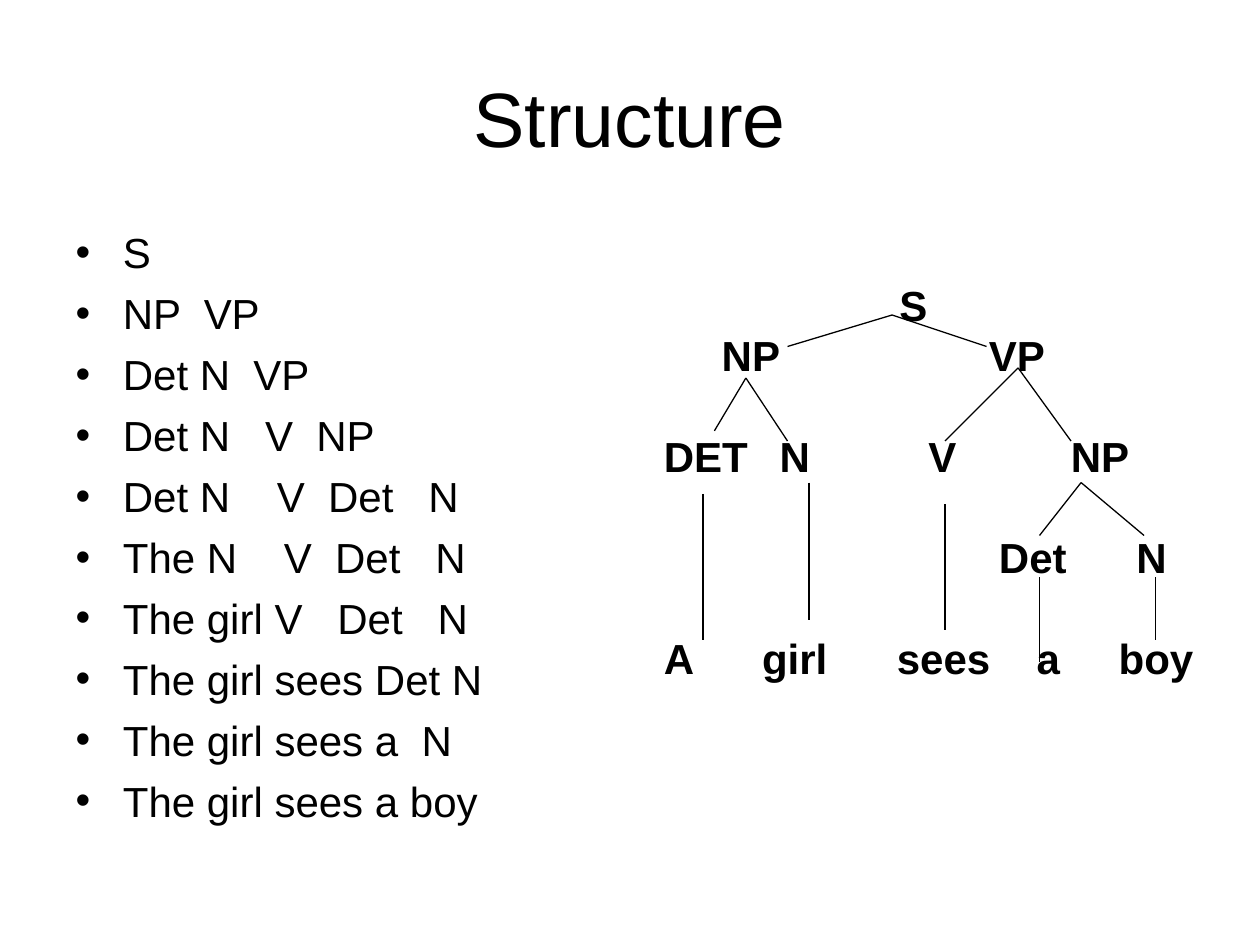
from dataclasses import dataclass

from lxml.etree import SubElement
from pptx import Presentation
from pptx.dml.color import RGBColor
from pptx.enum.shapes import MSO_CONNECTOR
from pptx.enum.text import MSO_ANCHOR, MSO_AUTO_SIZE, PP_ALIGN
from pptx.oxml.ns import qn
from pptx.slide import Slide
from pptx.util import Inches, Pt

BLACK = RGBColor(0x00, 0x00, 0x00)
DERIVATION = [
    "S", "NP  VP", "Det N  VP", "Det N   V  NP", "Det N    V  Det   N",
    "The N    V  Det   N", "The girl V   Det   N", "The girl sees Det N",
    "The girl sees a  N", "The girl sees a boy",
]
TREE_ROWS = [
    (0, [(1.87, "S")]),
    (0, [(0.46, "NP"), (2.58, "VP")]),
    (1, [(0, "DET"), (0.92, "N"), (2.1, "V"), (3.23, "NP")]),
    (1, [(2.66, "Det"), (3.75, "N")]),
    (1, [(0, "A"), (0.78, "girl"), (1.85, "sees"), (2.96, "a"), (3.61, "boy")]),
]
BRANCHES = [
    ((7.08, 2.5), [(6.25, 2.75), (7.83, 2.75)]),
    ((5.92, 3), [(5.67, 3.42), (6.25, 3.5)]),
    ((8.08, 2.92), [(7.5, 3.5), (8.5, 3.5)]),
    ((5.58, 3.92), [(5.58, 5.08)]),
    ((6.42, 3.83), [(6.42, 4.92)]),
    ((7.5, 4), [(7.5, 5)]),
    ((8.58, 3.83), [(8.25, 4.25), (9.08, 4.25)]),
    ((8.25, 4.58), [(8.25, 5.25)]),
    ((9.17, 4.58), [(9.17, 5.08)]),
]


@dataclass
class SlideWriter:
    """Draws styled elements on the current slide."""

    slide: Slide
    font_name: str = "Arial"
    text_size: float = 24
    line_height: float = 28.8
    line_width: float = 0.75

    def place(self, shape, left, top, width, height):
        shape.left, shape.top = Inches(left), Inches(top)
        shape.width, shape.height = Inches(width), Inches(height)

    def style(self, paragraph, size, bold=False):
        font = paragraph.font
        font.name, font.size, font.bold = self.font_name, Pt(size), bold
        font.color.rgb = BLACK

    def title(self, text, *bounds):
        title = self.slide.shapes.title
        self.place(title, *bounds)
        frame = title.text_frame
        frame.text = text
        frame.vertical_anchor = MSO_ANCHOR.MIDDLE
        frame.auto_size = MSO_AUTO_SIZE.NONE
        frame.paragraphs[0].alignment = PP_ALIGN.CENTER
        self.style(frame.paragraphs[0], 44)

    def bullets(self, lines, *bounds):
        body = self.slide.placeholders[1]
        self.place(body, *bounds)
        frame = body.text_frame
        frame.text = "\n".join(lines)
        frame.auto_size = MSO_AUTO_SIZE.NONE
        for index, paragraph in enumerate(frame.paragraphs):
            paragraph.line_spacing = Pt(self.line_height)
            paragraph.space_before = Pt(6 if index else 0)
            self.style(paragraph, self.text_size)

    def tabbed_rows(self, rows, *bounds):
        box = self.slide.shapes.add_textbox(*map(Inches, bounds))
        frame = box.text_frame
        frame.word_wrap = True
        for index, (skipped, words) in enumerate(rows):
            paragraph = frame.add_paragraph() if index else frame.paragraphs[0]
            paragraph.text = "".join(
                f"\t{word}" if offset else word for offset, word in words
            )
            properties = paragraph._p.get_or_add_pPr()
            tabs = SubElement(properties, qn("a:tabLst"))
            for offset, _ in words:
                if offset:
                    SubElement(tabs, qn("a:tab"), pos=str(Inches(offset)), algn="l")
            paragraph.line_spacing = Pt(self.line_height)
            paragraph.space_before = Pt(skipped * self.line_height)
            self.style(paragraph, self.text_size, bold=True)

    def line(self, start, end):
        line = self.slide.shapes.add_connector(
            MSO_CONNECTOR.STRAIGHT, *map(Inches, (*start, *end))
        )
        line.line.color.rgb = BLACK
        line.line.width = Pt(self.line_width)
        SubElement(line._element.spPr, qn("a:effectLst"))


def main():
    deck = Presentation()
    deck.slide_width, deck.slide_height = Inches(10), Inches(7.5)
    writer = SlideWriter(deck.slides.add_slide(deck.slide_layouts[1]))
    writer.title("Structure", 0.5, 0.3, 9, 1.25)
    writer.bullets(DERIVATION, 0.5, 1.75, 4.42, 4.95)
    writer.tabbed_rows(TREE_ROWS, 5.17, 2.17, 4.5, 3.3)
    for parent, children in BRANCHES:
        for child in children:
            writer.line(parent, child)
    deck.save("out.pptx")


if __name__ == "__main__":
    main()
